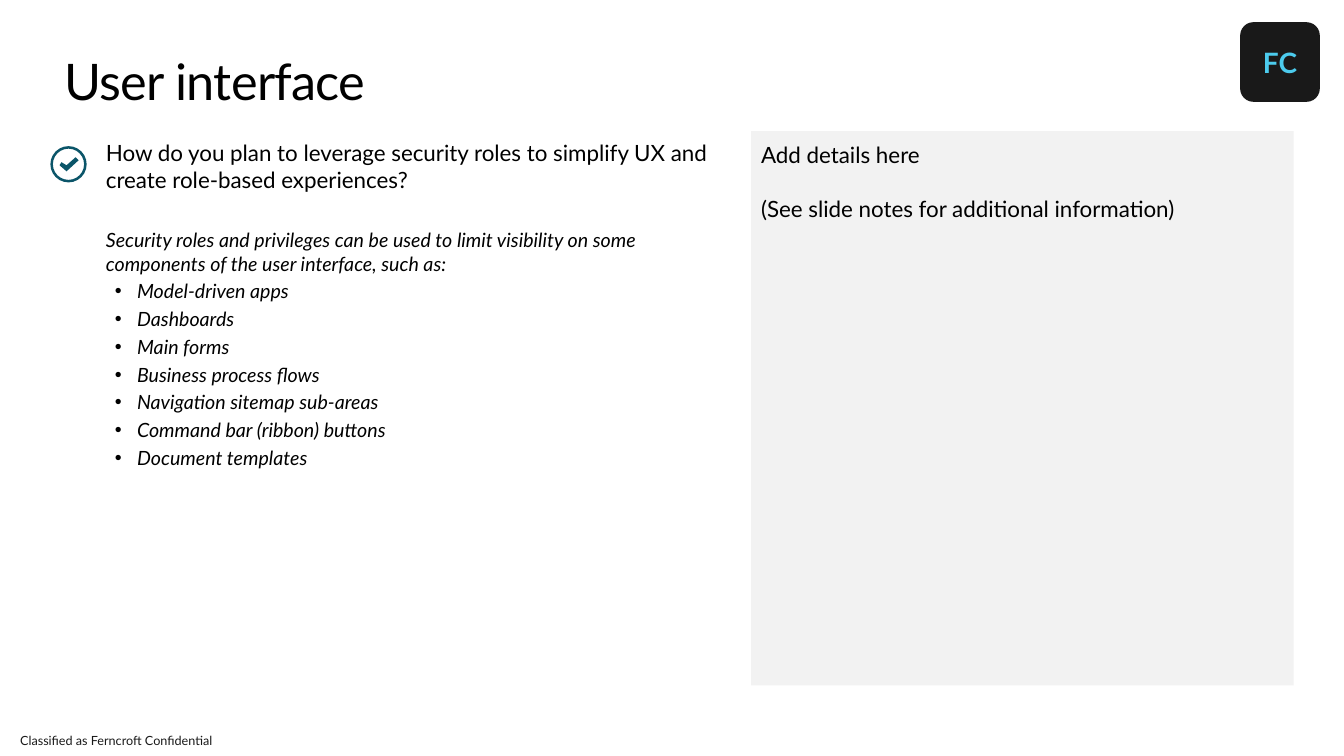
from dataclasses import dataclass

from lxml.etree import SubElement
from pptx import Presentation
from pptx.dml.color import RGBColor
from pptx.enum.shapes import MSO_SHAPE
from pptx.enum.text import MSO_ANCHOR, MSO_AUTO_SIZE, PP_ALIGN
from pptx.oxml.ns import qn
from pptx.util import Inches, Pt

TITLE = "User interface"
QUESTION = "How do you plan to leverage security roles to simplify UX and create role-based experiences?"
GUIDANCE = (
    "Security roles and privileges can be used to limit visibility on some "
    "components of the user interface, such as:"
)
COMPONENTS = [
    "Model-driven apps",
    "Dashboards",
    "Main forms",
    "Business process flows",
    "Navigation sitemap sub-areas",
    "Command bar (ribbon) buttons",
    "Document templates",
]
DETAILS = ["Add details here", "(See slide notes for additional information)"]
BADGE = "FC"
CLASSIFICATION = "Classified as Ferncroft Confidential"
CHECK_POINTS = [(0.75, 1.56), (0.66, 1.64), (0.61, 1.61), (0.59, 1.64), (0.66, 1.7), (0.78, 1.59)]


@dataclass(frozen=True)
class Theme:
    font: str = "Lato"
    ink: str = "000000"
    dark: str = "191919"
    panel: str = "F2F2F2"
    teal: str = "0B5569"
    cyan: str = "4CCBED"
    title: int = 36
    badge: int = 20
    body: int = 16
    guidance: int = 14
    footer: int = 9


theme = Theme()
BODY_TOP, BODY_HEIGHT = 1.3, 5.5
BLANK_LINE = theme.body * 1.2


def write(frame, text, size=theme.body, color=theme.ink, bold=False, italic=False,
          align=PP_ALIGN.LEFT, before=0, spacing=None, bullet=False, tracking=None):
    para = frame.paragraphs[0]
    if para.runs:
        para = frame.add_paragraph()
    para.alignment = align
    para.space_before = Pt(before)
    if spacing:
        para.line_spacing = spacing
    if bullet:
        properties = para._p.get_or_add_pPr()
        properties.set("marL", str(Inches(0.31)))
        properties.set("indent", str(Inches(-0.22)))
        SubElement(properties, qn("a:buFont"), typeface="Arial")
        SubElement(properties, qn("a:buChar"), char="•")
    span = para.add_run()
    span.text = text
    font = span.font
    font.name, font.size = theme.font, Pt(size)
    font.bold, font.italic = bold, italic
    font.color.rgb = RGBColor.from_string(color)
    if tracking is not None:
        font._element.set("spc", str(int(tracking * 100)))


def set_frame(shape, insets=(0, 0, 0, 0), anchor=MSO_ANCHOR.TOP):
    frame = shape.text_frame
    frame.word_wrap = True
    frame.auto_size = MSO_AUTO_SIZE.NONE
    frame.vertical_anchor = anchor
    frame.margin_left, frame.margin_top, frame.margin_right, frame.margin_bottom = map(Inches, insets)
    return frame


def paint(shape, color):
    shape.shadow.inherit = False
    shape.fill.solid()
    shape.fill.fore_color.rgb = RGBColor.from_string(color)
    shape.line.fill.background()
    return shape


def add_block(page, kind, area, color):
    return paint(page.shapes.add_shape(kind, *map(Inches, area)), color)


def add_text(page, area, **options):
    return set_frame(page.shapes.add_textbox(*map(Inches, area)), **options)


def add_check_icon(page):
    ring = add_block(page, MSO_SHAPE.DONUT, (0.5, 1.45, 0.36, 0.36), theme.teal)
    ring.adjustments[0] = 0.07
    start, *rest = [(Inches(x), Inches(y)) for x, y in CHECK_POINTS]
    builder = page.shapes.build_freeform(*start)
    builder.add_line_segments(rest, close=True)
    paint(builder.convert_to_shape(), theme.teal)


def main():
    deck = Presentation()
    deck.slide_width, deck.slide_height = Inches(13.33), Inches(7.5)
    page = deck.slides.add_slide(deck.slide_layouts[5])

    footer = add_text(page, (0, 7.29, 2.32, 0.14), insets=(0.2, 0, 0, 0), anchor=MSO_ANCHOR.MIDDLE)
    write(footer, CLASSIFICATION, size=theme.footer, color=theme.dark, spacing=0.9)

    title = page.shapes.title
    title.left, title.top, title.width, title.height = map(Inches, (0.64, 0.5, 11.48, 0.61))
    write(set_frame(title), TITLE, size=theme.title, tracking=-0.5)

    question = add_text(page, (0.97, BODY_TOP, 6.35, BODY_HEIGHT), insets=(0.08,) * 4)
    write(question, QUESTION)
    write(question, GUIDANCE, size=theme.guidance, italic=True, before=BLANK_LINE + 6)
    for component in COMPONENTS:
        write(question, component, size=theme.guidance, italic=True, before=3, bullet=True)

    add_check_icon(page)

    panel = add_block(page, MSO_SHAPE.RECTANGLE, (7.45, BODY_TOP, 5.38, BODY_HEIGHT), theme.panel)
    details = set_frame(panel, insets=(0.1, 0.1, 0.1, 0.05))
    for index, detail in enumerate(DETAILS):
        write(details, detail, before=BLANK_LINE * index)

    badge = add_block(page, MSO_SHAPE.ROUNDED_RECTANGLE, (12.3, 0.22, 0.79, 0.79), theme.dark)
    write(set_frame(badge, anchor=MSO_ANCHOR.MIDDLE), BADGE, size=theme.badge,
          color=theme.cyan, bold=True, align=PP_ALIGN.CENTER)

    deck.save("out.pptx")


if __name__ == "__main__":
    main()
